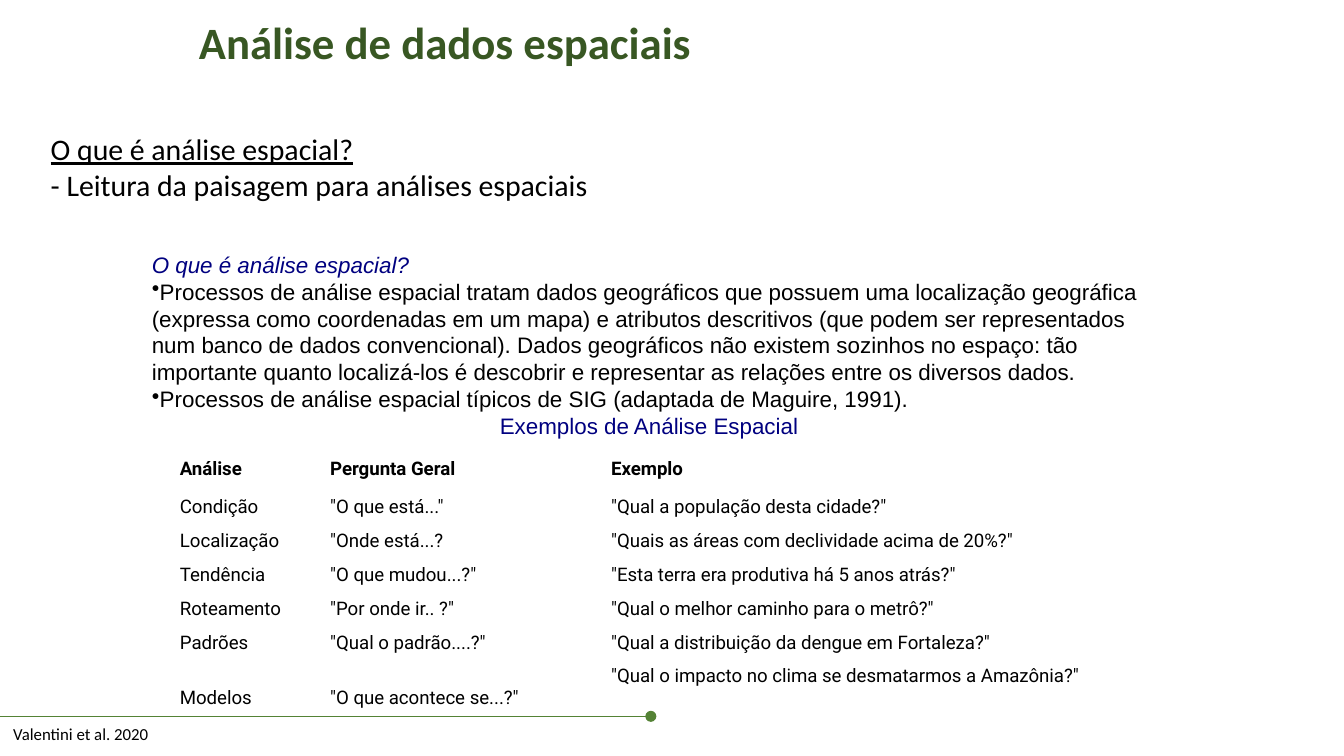
from dataclasses import dataclass, field

import pptx
import pptx.dml.color
import pptx.enum.shapes
import pptx.enum.text
import pptx.oxml
import pptx.oxml.ns
import pptx.util
from pptx.util import Cm

BLACK, WHITE, NAVY = "000000", "FFFFFF", "000080"
DARK_GREEN, GREEN = "385723", "548235"


@dataclass
class Line:
    text: str
    format: dict = field(default_factory=dict)
    bullet: bool = False
    centred: bool = False


@dataclass
class TextBlock:
    left: float
    top: float
    width: float
    height: float
    font: str
    size: float
    lines: list[Line]
    colour: str = BLACK


BLOCKS = [
    TextBlock(0.71, 2.34, 17.6, 1.63, "Calibri", 16, [
        Line("O que é análise espacial?", {"underline": True}),
        Line("- Leitura da paisagem para análises espaciais"),
    ]),
    TextBlock(3.51, 0.15, 14.4, 1.27, "Calibri", 24, [
        Line("Análise de dados espaciais", {"bold": True}),
    ], DARK_GREEN),
    TextBlock(2.62, 4.62, 19.3, 3.84, "Arial", 12, [
        Line("O que é análise espacial?", {"italic": True, "colour": NAVY}),
        Line("Processos de análise espacial tratam dados geográficos que possuem uma "
             "localização geográfica (expressa como coordenadas em um mapa) e atributos "
             "descritivos (que podem ser representados num banco de dados convencional). "
             "Dados geográficos não existem sozinhos no espaço: tão importante quanto "
             "localizá-los é descobrir e representar as relações entre os diversos dados.",
             bullet=True),
        Line("Processos de análise espacial típicos de SIG (adaptada de Maguire, 1991).",
             bullet=True),
        Line("Exemplos de Análise Espacial", {"colour": NAVY}, centred=True),
    ]),
    TextBlock(0, 13.56, 13.28, 0.64, "Calibri", 9, [Line("Valentini et al. 2020")]),
]

ANALYSES = [
    ("Análise", "Pergunta Geral", "Exemplo"),
    ("Condição", '"O que está..."', '"Qual a população desta cidade?"'),
    ("Localização", '"Onde está...?', '"Quais as áreas com declividade acima de 20%?"'),
    ("Tendência", '"O que mudou...?"', '"Esta terra era produtiva há 5 anos atrás?"'),
    ("Roteamento", '"Por onde ir.. ?"', '"Qual o melhor caminho para o metrô?"'),
    ("Padrões", '"Qual o padrão....?"', '"Qual a distribuição da dengue em Fortaleza?"'),
    ("Modelos", '"O que acontece se...?"',
     '"Qual o impacto no clima se desmatarmos a Amazônia?"'),
]
COLUMN_WIDTHS = [2.84, 5.31, 9.4]
ROW_HEIGHTS = [0.79] + [0.64] * 5 + [1.45]


def rgb(colour: str) -> pptx.dml.color.RGBColor:
    return pptx.dml.color.RGBColor.from_string(colour)


def apply_font(font, values: dict) -> None:
    for name, value in values.items():
        if name == "colour":
            font.color.rgb = rgb(value)
        else:
            setattr(font, name, value)


def add_bullet(paragraph) -> None:
    properties = paragraph._p.get_or_add_pPr()
    properties.set("marL", "0")
    properties.set("indent", "0")
    bullet = pptx.oxml.parse_xml(
        f'<a:buChar {pptx.oxml.ns.nsdecls("a")} char="•"/>')
    properties.append(bullet)


def add_text_block(slide, block: TextBlock) -> None:
    box = slide.shapes.add_textbox(
        Cm(block.left), Cm(block.top), Cm(block.width), Cm(block.height))
    frame = box.text_frame
    frame.word_wrap = True
    for index, line in enumerate(block.lines):
        paragraph = frame.add_paragraph() if index else frame.paragraphs[0]
        if line.bullet:
            add_bullet(paragraph)
        if line.centred:
            paragraph.alignment = pptx.enum.text.PP_ALIGN.CENTER
        run = paragraph.add_run()
        run.text = line.text
        apply_font(run.font, {"name": block.font, "size": pptx.util.Pt(block.size),
                              "colour": block.colour} | line.format)


def add_analysis_table(slide) -> None:
    table = slide.shapes.add_table(
        len(ANALYSES), len(COLUMN_WIDTHS), Cm(3.3), Cm(8.48),
        Cm(sum(COLUMN_WIDTHS)), Cm(sum(ROW_HEIGHTS))).table
    table.first_row = table.horz_banding = False
    for column, width in zip(table.columns, COLUMN_WIDTHS):
        column.width = Cm(width)
    for row, height in zip(table.rows, ROW_HEIGHTS):
        row.height = Cm(height)
    for row_index, texts in enumerate(ANALYSES):
        for column_index, text in enumerate(texts):
            cell = table.cell(row_index, column_index)
            cell.fill.solid()
            cell.fill.fore_color.rgb = rgb(WHITE)
            cell.vertical_anchor = pptx.enum.text.MSO_ANCHOR.MIDDLE
            for side in ("left", "right", "top", "bottom"):
                setattr(cell, f"margin_{side}", Cm(0.1))
            run = cell.text_frame.paragraphs[0].add_run()
            run.text = text
            apply_font(run.font, {"name": "Roboto", "size": pptx.util.Pt(10),
                                  "colour": BLACK, "bold": row_index == 0})
    last_example = table.cell(len(ANALYSES) - 1, len(COLUMN_WIDTHS) - 1)
    last_example.vertical_anchor = pptx.enum.text.MSO_ANCHOR.TOP


def add_footer_rule(slide) -> None:
    rule = slide.shapes.add_connector(
        pptx.enum.shapes.MSO_CONNECTOR.STRAIGHT, Cm(0), Cm(13.54), Cm(12.3), Cm(13.54))
    rule.line.color.rgb = rgb(GREEN)
    rule.line.width = pptx.util.Pt(0.5)
    namespace = pptx.oxml.ns.nsdecls("a")
    rule.line._get_or_add_ln().append(
        pptx.oxml.parse_xml(f'<a:tailEnd {namespace} type="oval"/>'))
    rule._element.spPr.append(pptx.oxml.parse_xml(f"<a:effectLst {namespace}/>"))


def main() -> None:
    presentation = pptx.Presentation()
    presentation.slide_width = Cm(25.4)
    presentation.slide_height = Cm(14.29)
    slide = presentation.slides.add_slide(presentation.slide_layouts[6])
    *content, source = BLOCKS
    for block in content:
        add_text_block(slide, block)
    add_analysis_table(slide)
    add_footer_rule(slide)
    add_text_block(slide, source)
    presentation.save("out.pptx")


if __name__ == "__main__":
    main()
